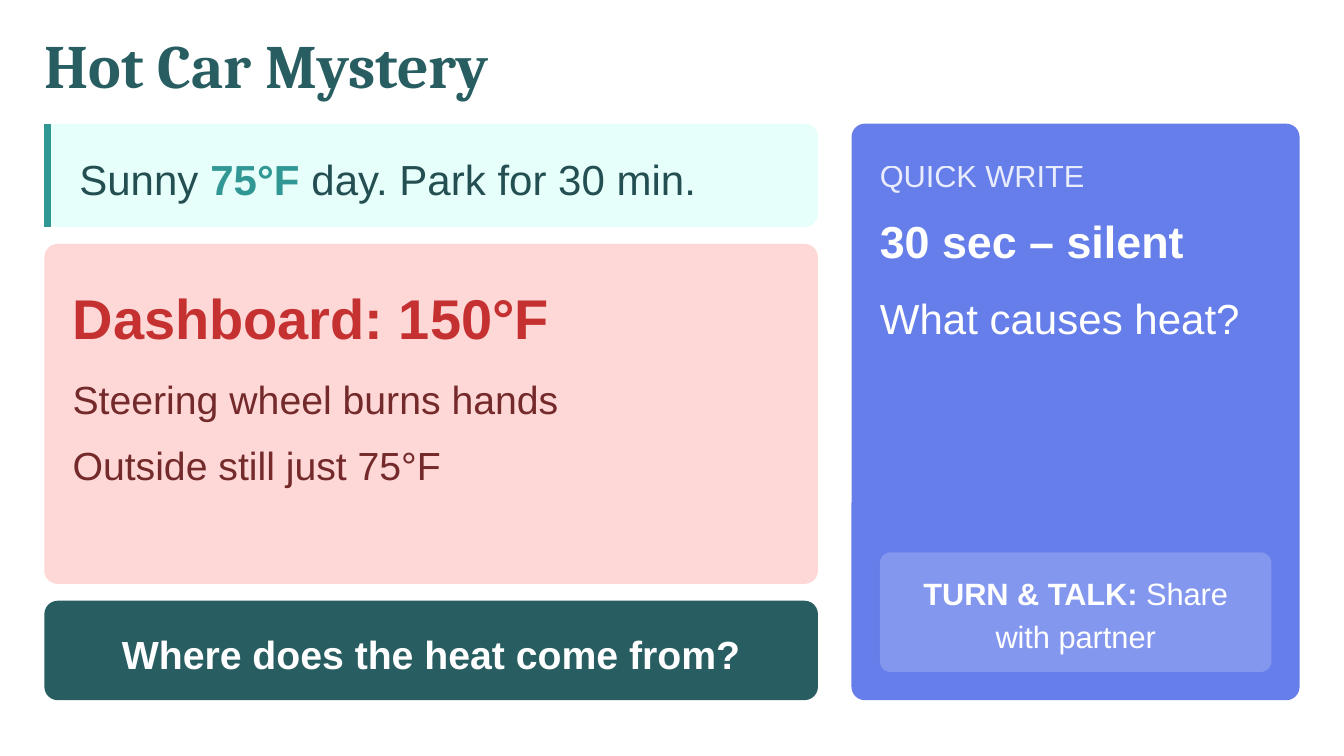
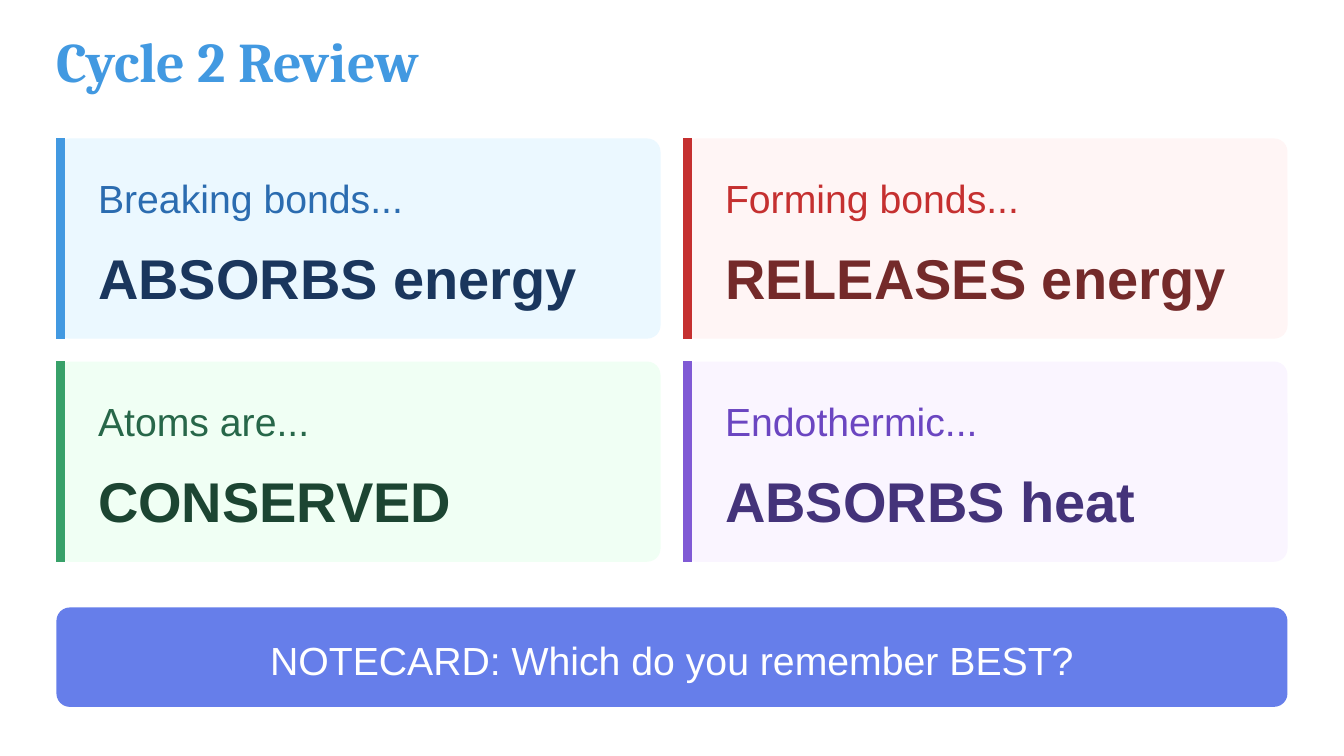
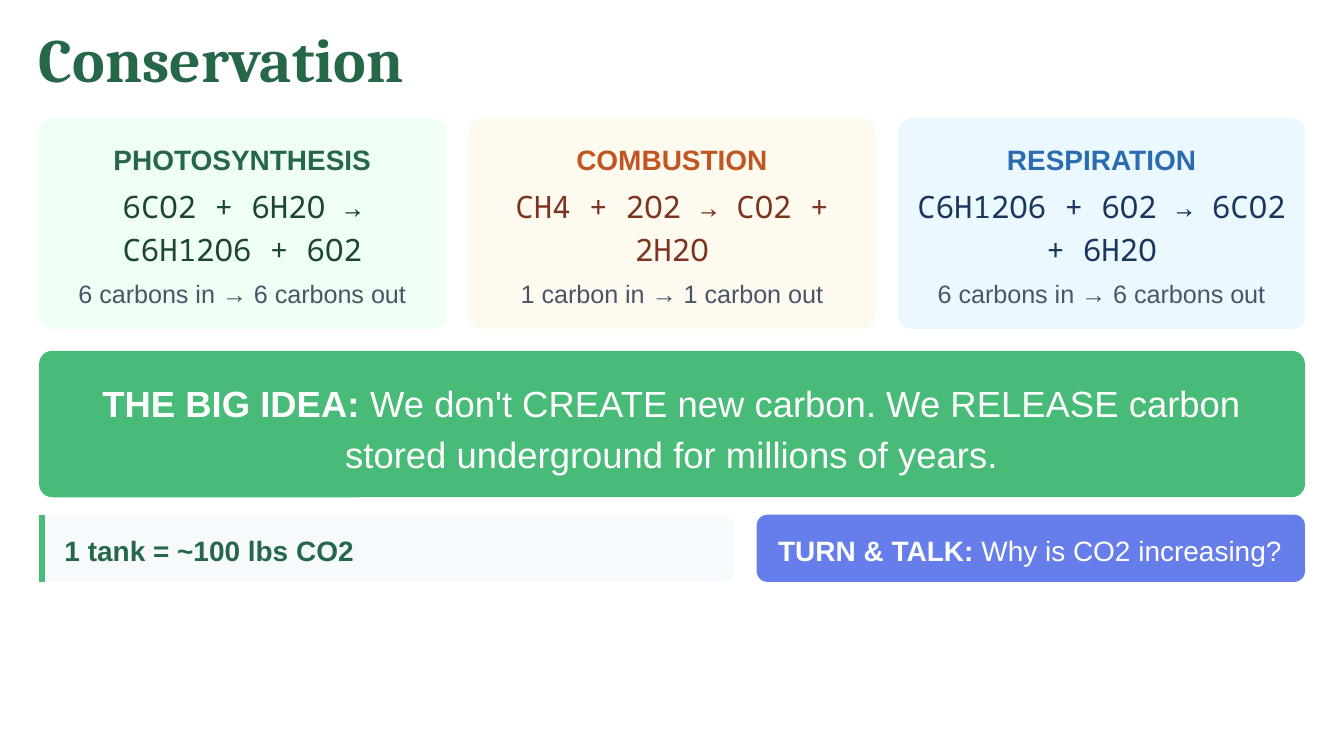
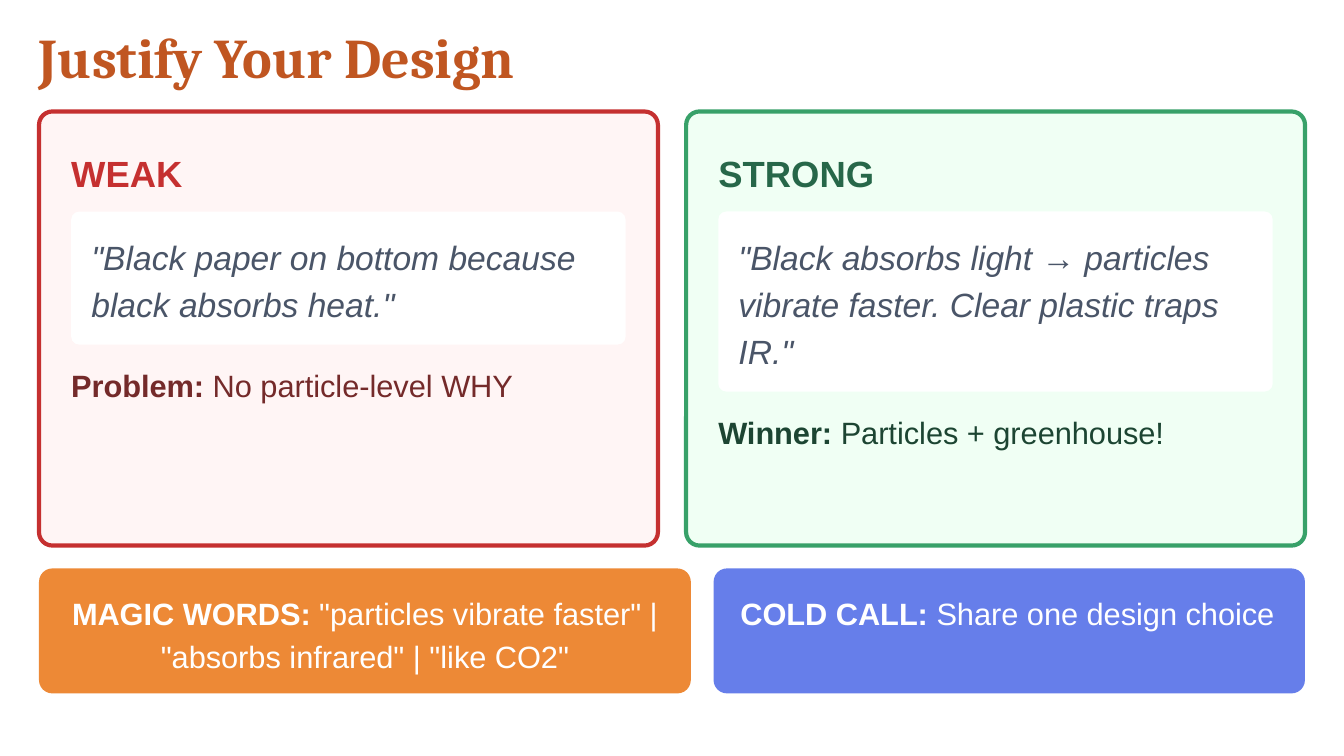
"""Builds four lesson slides on heat, bonds, carbon conservation and design."""
from collections import namedtuple
from itertools import accumulate

from lxml.etree import SubElement
from pptx import Presentation
from pptx.dml.color import RGBColor
from pptx.enum.shapes import MSO_CONNECTOR, MSO_SHAPE
from pptx.enum.text import MSO_ANCHOR, MSO_AUTO_SIZE, PP_ALIGN
from pptx.oxml.ns import qn
from pptx.util import Inches, Pt

LEFT, CENTER = PP_ALIGN.LEFT, PP_ALIGN.CENTER
TOP, NO_FIT = MSO_ANCHOR.TOP, MSO_AUTO_SIZE.NONE
ROUNDED, STRAIGHT = MSO_SHAPE.ROUNDED_RECTANGLE, MSO_CONNECTOR.STRAIGHT

Style = namedtuple("Style", "size after bold italic font", defaults=(0, False, False, "Arial"))
Line = namedtuple("Line", "style color text rows strong", defaults=(1, None))
Box = namedtuple("Box", "x y w h")


class Theme:
    """Colours, type styles and measures shared by the slides."""
    WHITE, SOFT_WHITE, GLASS = "FFFFFF", "FFFFFF@85", "FFFFFF@20"
    INDIGO, SLATE, MIST = "667EEA", "4A5568", "F7FAFC"
    TEAL, TEAL_DARK, TEAL_INK, TEAL_PALE = "319795", "285E61", "234E52", "E6FFFA"
    RED, RED_INK, RED_PALE, PINK = "C53030", "742A2A", "FFF5F5", "FED7D7"
    BLUE, BLUE_DARK, BLUE_INK, BLUE_PALE = "4299E1", "2B6CB0", "1A365D", "EBF8FF"
    GREEN, GREEN_BRIGHT, GREEN_DARK = "38A169", "48BB78", "276749"
    GREEN_INK, GREEN_PALE = "1C4532", "F0FFF4"
    PURPLE, PURPLE_DARK, PURPLE_INK, PURPLE_PALE = "805AD5", "6B46C1", "44337A", "FAF5FF"
    ORANGE, ORANGE_DARK, ORANGE_INK, ORANGE_PALE = "ED8936", "C05621", "7B341E", "FFFAF0"
    TITLE_LARGE = Style(33, 12, True, font="Cambria")
    TITLE = Style(30, 12, True, font="Cambria")
    HERO = Style(30, 9, True)
    PROMPT = Style(24, 9, True)
    LEAD = Style(22.5)
    BODY = Style(21, 6)
    BANNER = Style(21, 0, True)
    IDEA = Style(19.5)
    VERDICT = Style(19.5, 9, True)
    QUOTE = Style(18, italic=True)
    CALL = Style(16.5)
    KICKER = Style(16.5, 6)
    FORMULA = Style(16.5, 3, font="Noto Sans Mono")
    PROCESS = Style(15, 3, True)
    SMALL = Style(15)
    COUNT = Style(13.5)
    LEADING = 1.4
    RADIUS, RADIUS_SMALL, RADIUS_QUOTE = 0.1, 0.08, 0.06
    WIDTH, HEIGHT = 10, 10 * 9 / 16
    GAP = 0.17


T = Theme

TITLES = [
    ("Hot Car Mystery", T.TITLE_LARGE, T.TEAL_DARK, 0.33, 0.29),
    ("Cycle 2 Review", T.TITLE, T.BLUE, 0.42, 0.28),
    ("Conservation", T.TITLE_LARGE, T.GREEN_DARK, 0.29, 0.25),
    ("Justify Your Design", T.TITLE, T.ORANGE_DARK, 0.29, 0.25),
]

SCENE = [Line(T.LEAD, T.TEAL_INK, "Sunny *75°F* day. Park for 30 min.", strong=T.TEAL)]
EVIDENCE = [
    Line(T.HERO, T.RED, "Dashboard: 150°F"),
    Line(T.BODY, T.RED_INK, "Steering wheel burns hands"),
    Line(T.BODY, T.RED_INK, "Outside still just 75°F"),
]
QUESTION = [Line(T.BANNER, T.WHITE, "Where does the heat come from?")]
QUICK_WRITE = [
    Line(T.KICKER, T.SOFT_WHITE, "QUICK WRITE"),
    Line(T.PROMPT, T.WHITE, "30 sec – silent"),
    Line(T.LEAD, T.WHITE, "What causes heat?", 4.55),
]
PARTNER_TALK = [Line(T.CALL, T.WHITE, "*TURN & TALK:* Share with partner", 2)]

REVIEW = [
    ("Breaking bonds...", "ABSORBS energy", T.BLUE, T.BLUE_PALE, T.BLUE_DARK, T.BLUE_INK),
    ("Forming bonds...", "RELEASES energy", T.RED, T.RED_PALE, T.RED, T.RED_INK),
    ("Atoms are...", "CONSERVED", T.GREEN, T.GREEN_PALE, T.GREEN_DARK, T.GREEN_INK),
    ("Endothermic...", "ABSORBS heat", T.PURPLE, T.PURPLE_PALE, T.PURPLE_DARK, T.PURPLE_INK),
]
NOTECARD = [Line(T.BODY, T.WHITE, "NOTECARD: Which do you remember BEST?")]

REACTIONS = [
    ("PHOTOSYNTHESIS", "6CO2 + 6H2O → C6H12O6 + 6O2", "6 carbons in → 6 carbons out",
     T.GREEN_PALE, T.GREEN_DARK, T.GREEN_INK),
    ("COMBUSTION", "CH4 + 2O2 → CO2 + 2H2O", "1 carbon in → 1 carbon out",
     T.ORANGE_PALE, T.ORANGE_DARK, T.ORANGE_INK),
    ("RESPIRATION", "C6H12O6 + 6O2 → 6CO2 + 6H2O", "6 carbons in → 6 carbons out",
     T.BLUE_PALE, T.BLUE_DARK, T.BLUE_INK),
]
BIG_IDEA = [Line(T.IDEA, T.WHITE, "*THE BIG IDEA:* We don't CREATE new carbon. "
                 "We RELEASE carbon stored underground for millions of years.", 2)]
TANK = [Line(T.SMALL, T.GREEN_DARK, "*1 tank = ~100 lbs CO2*")]
CARBON_TALK = [Line(T.SMALL, T.WHITE, "*TURN & TALK:* Why is CO2 increasing?")]

ANSWERS = [
    ("WEAK", '"Black paper on bottom because black absorbs heat."', 2,
     "*Problem:* No particle-level WHY", T.RED_PALE, T.RED, T.RED, T.RED_INK),
    ("STRONG", '"Black absorbs light → particles vibrate faster. Clear plastic traps IR."', 3,
     "*Winner:* Particles + greenhouse!", T.GREEN_PALE, T.GREEN, T.GREEN_DARK, T.GREEN_INK),
]
MAGIC_WORDS = [Line(T.CALL, T.WHITE, '*MAGIC WORDS:* "particles vibrate faster" | '
                    '"absorbs infrared" | "like CO2"', 2)]
COLD_CALL = [Line(T.CALL, T.WHITE, "*COLD CALL:* Share one design choice")]


def paint(fill, color):
    """Fill with a colour written RRGGBB or RRGGBB@opacity."""
    rgb, _, opacity = color.partition("@")
    fill.solid()
    fill.fore_color.rgb = RGBColor.from_string(rgb)
    if opacity:
        tint = fill._xPr.find(".//" + qn("a:srgbClr"))
        SubElement(tint, qn("a:alpha"), val=str(int(opacity) * 1000))


def place(shape, box):
    """Move and size a shape to a box in inches."""
    shape.left, shape.top, shape.width, shape.height = map(Inches, box)


def write(frame, line, align=LEFT, leading=T.LEADING):
    """Write one paragraph, with *starred* parts in bold."""
    frame.margin_left = frame.margin_right = frame.margin_top = frame.margin_bottom = 0
    frame.word_wrap, frame.auto_size, frame.vertical_anchor = True, NO_FIT, TOP
    paragraph, style = frame.paragraphs[0], line.style
    paragraph.alignment = align
    paragraph.line_spacing = Pt(style.size * leading)
    paragraph.space_before, paragraph.space_after = Pt(0), Pt(style.after)
    for index, part in enumerate(line.text.split("*")):
        if part:
            starred = index % 2 == 1
            run = paragraph.add_run()
            run.text = part
            run.font.name, run.font.size = style.font, Pt(style.size)
            run.font.bold, run.font.italic = style.bold or starred, style.italic
            paint(run.font.fill, line.strong if starred and line.strong else line.color)


def stack(slide, x, y, width, lines, align=LEFT):
    """Place lines one under another and return the y below the last."""
    for line in lines:
        height = line.style.size * T.LEADING * line.rows / 72
        text = slide.shapes.add_textbox(*map(Inches, (x, y, width, height)))
        write(text.text_frame, line, align)
        y += height + line.style.after / 72
    return y


def panel(slide, box, fill, lines=(), pad=(0, 0), align=LEFT, accent=None, outline=None,
          radius=T.RADIUS):
    """Draw a rounded panel with stacked text and return the y below the text."""
    card = slide.shapes.add_shape(ROUNDED, *map(Inches, box))
    card.shadow.inherit = False
    card.adjustments[0] = radius / min(box.w, box.h)
    paint(card.fill, fill)
    if outline:
        paint(card.line.fill, outline)
        card.line.width = Pt(2.25)
    else:
        card.line.fill.background()
    if accent:
        color, weight = accent
        x = box.x + weight / 144
        bar = slide.shapes.add_connector(STRAIGHT, *map(Inches, (x, box.y, x, box.y + box.h)))
        paint(bar.line.fill, color)
        bar.line.width = Pt(weight)
        SubElement(bar._element.spPr, qn("a:effectLst"))
    side, top = pad
    inner = box.w - side * (2 if align == CENTER else 1.5)
    return stack(slide, box.x + side, box.y + top, inner, lines, align)


def split(start, total, shares, gap):
    """Divide a length by shares and return (start, length) pairs."""
    free = total - gap * (len(shares) - 1)
    lengths = [free * share / sum(shares) for share in shares]
    starts = accumulate([start] + [length + gap for length in lengths[:-1]])
    return list(zip(starts, lengths))


def mystery(slide, margin):
    """Story panels on the left, quick write on the right."""
    y, height = 0.92, 4.29
    (x, wide), (side, narrow) = split(margin, T.WIDTH - 2 * margin, (5.75, 3.33), 0.25)
    scene, evidence, question = [
        Box(x, top, wide, tall) for top, tall in split(y, height, (0.77, 2.53, 0.74), 0.125)]
    panel(slide, scene, T.TEAL_PALE, SCENE, (0.26, 0.16), accent=(T.TEAL, 3.75))
    panel(slide, evidence, T.PINK, EVIDENCE, (0.21, 0.21))
    panel(slide, question, T.TEAL_DARK, QUESTION, (0.16, 0.16), CENTER)
    panel(slide, Box(side, y, narrow, height), T.INDIGO, QUICK_WRITE, (0.21, 0.2))
    talk = Box(side + 0.21, 4.11, narrow - 0.42, 0.89)
    panel(slide, talk, T.GLASS, PARTNER_TALK, (0.1, 0.12), CENTER, radius=T.RADIUS_SMALL)


def review(slide, margin):
    """Two by two grid of facts over a notecard banner."""
    width = T.WIDTH - 2 * margin
    cells = [Box(x, y, w, h) for y, h in split(1.03, 3.15, (1, 1), T.GAP)
             for x, w in split(margin, width, (1, 1), T.GAP)]
    for cell, (stem, answer, bar, pale, dark, ink) in zip(cells, REVIEW):
        lines = [Line(T.BODY, dark, stem), Line(T.HERO, ink, answer)]
        panel(slide, cell, pale, lines, (0.31, 0.21), accent=(bar, 4.5))
    panel(slide, Box(margin, 4.52, width, 0.74), T.INDIGO, NOTECARD, (0.25, 0.16), CENTER)


def conservation(slide, margin):
    """Three reactions, the big idea and two closing panels."""
    width = T.WIDTH - 2 * margin
    for (x, w), reaction in zip(split(margin, width, (1, 1, 1), T.GAP), REACTIONS):
        process, formula, count, pale, dark, ink = reaction
        lines = [Line(T.PROCESS, dark, process), Line(T.FORMULA, ink, formula, 2),
                 Line(T.COUNT, T.SLATE, count)]
        panel(slide, Box(x, 0.88, w, 1.57), pale, lines, (0.12, 0.14), CENTER)
    panel(slide, Box(margin, 2.61, width, 1.09), T.GREEN_BRIGHT, BIG_IDEA, (0.16, 0.17), CENTER)
    tank, talk = [Box(x, 3.83, w, 0.5) for x, w in split(margin, width, (5.17, 4.08), T.GAP)]
    panel(slide, tank, T.MIST, TANK, (0.19, 0.1), accent=(T.GREEN_BRIGHT, 3),
          radius=T.RADIUS_SMALL)
    panel(slide, talk, T.INDIGO, CARBON_TALK, (0.16, 0.1), radius=T.RADIUS_SMALL)


def justify(slide, margin):
    """Weak and strong answers side by side over two prompts."""
    width, pad = T.WIDTH - 2 * margin, 0.24
    for (x, w), answer in zip(split(margin, width, (1, 1), 0.21), ANSWERS):
        label, quote, rows, verdict, pale, border, dark, ink = answer
        y = panel(slide, Box(x, 0.83, w, 3.23), pale, [Line(T.VERDICT, dark, label)],
                  (pad, pad), outline=border)
        height = rows * T.QUOTE.size * T.LEADING / 72 + 0.29
        panel(slide, Box(x + pad, y, w - 2 * pad, height), T.WHITE,
              [Line(T.QUOTE, T.SLATE, quote, rows)], (0.15, 0.14), radius=T.RADIUS_QUOTE)
        stack(slide, x + pad, y + height + 0.12, w - 1.5 * pad, [Line(T.CALL, ink, verdict)])
    magic, call = [Box(x, 4.23, w, 0.93) for x, w in split(margin, width, (4.85, 4.4), T.GAP)]
    panel(slide, magic, T.ORANGE, MAGIC_WORDS, (0.17, 0.15), CENTER)
    panel(slide, call, T.INDIGO, COLD_CALL, (0.2, 0.15))


def main():
    """Build and save the deck."""
    deck = Presentation()
    deck.slide_width, deck.slide_height = Inches(T.WIDTH), Inches(T.HEIGHT)
    title_only = deck.slide_layouts[5]
    for (text, style, color, x, y), build in zip(
            TITLES, (mystery, review, conservation, justify)):
        slide = deck.slides.add_slide(title_only)
        title = slide.shapes.title
        place(title, Box(x, y, 5.1 - x, style.size / 72))
        write(title.text_frame, Line(style, color, text), leading=1)
        build(slide, x)
    deck.save("out.pptx")


if __name__ == "__main__":
    main()
